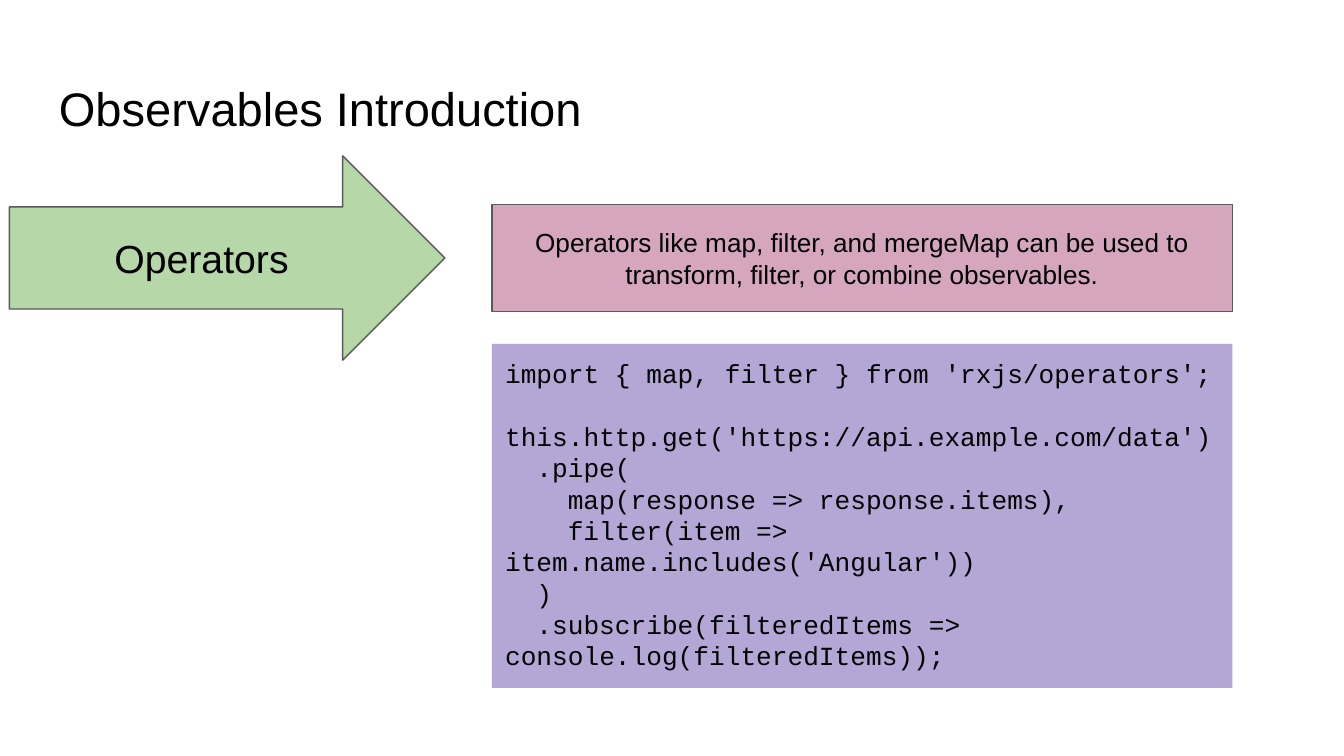
"""Build the slide that introduces operators on observables."""
from dataclasses import dataclass
from typing import Optional

from pptx import Presentation
from pptx.dml.color import RGBColor
from pptx.enum.shapes import MSO_SHAPE as Preset
from pptx.enum.text import MSO_ANCHOR as Anchor, PP_ALIGN as Align
from pptx.slide import Slide
from pptx.text.text import TextFrame
from pptx.util import Inches, Pt

COLORS = {
    "text": "000000",
    "outline": "595959",
    "green": "B6D7A8",
    "pink": "D5A6BD",
    "purple": "B4A7D6",
}
SLIDE_WIDTH = Inches(10)
SLIDE_HEIGHT = SLIDE_WIDTH * 9 // 16
CODE_SIZE = 14
CODE_STEP = 0.6 * CODE_SIZE
LINE_HEIGHT = 1.2 * CODE_SIZE
COLUMN_LEFT, COLUMN_WIDTH = 3.66, 5.51


@dataclass(frozen=True)
class Line:
    text: str
    indent: int = 0
    blank_above: bool = False


@dataclass(frozen=True)
class Block:
    left: float
    top: float
    width: float
    height: float
    lines: tuple[Line, ...]
    size: float
    preset: Preset = Preset.RECTANGLE
    fill: Optional[str] = None
    outline: Optional[str] = None
    font: str = "Arial"
    align: Align = Align.CENTER
    anchor: Anchor = Anchor.MIDDLE
    spacing: Optional[float] = None


BLOCKS = (
    Block(0.34, 0.49, 9.32, 0.63, (Line("Observables Introduction"),), 25.2,
          align=Align.LEFT, anchor=Anchor.TOP),
    Block(0.07, 1.16, 3.24, 1.52, (Line("Operators"),), 21,
          Preset.RIGHT_ARROW, "green", "outline"),
    Block(COLUMN_LEFT, 1.52, COLUMN_WIDTH, 0.8,
          (Line("Operators like map, filter, and mergeMap can be used to "
                "transform, filter, or combine observables."),), CODE_SIZE,
          fill="pink", outline="outline", spacing=LINE_HEIGHT),
    Block(COLUMN_LEFT, 2.56, COLUMN_WIDTH, 2.56, (
        Line("import { map, filter } from 'rxjs/operators';"),
        Line("this.http.get('https://api.example.com/data')", blank_above=True),
        Line(".pipe(", 2),
        Line("map(response => response.items),", 4),
        Line("filter(item => item.name.includes('Angular'))", 4),
        Line(")", 2),
        Line(".subscribe(filteredItems => console.log(filteredItems));", 2),
    ), CODE_SIZE, fill="purple", font="Courier New", align=Align.LEFT,
        anchor=Anchor.TOP, spacing=LINE_HEIGHT),
)


def rgb(name: str) -> RGBColor:
    """Return the named colour."""
    return RGBColor.from_string(COLORS[name])


def write_lines(block: Block, frame: TextFrame) -> None:
    """Fill a text frame with the lines of a block."""
    frame.word_wrap = True
    frame.vertical_anchor = block.anchor
    frame.margin_left = frame.margin_right = Inches(0.1)
    frame.margin_top = frame.margin_bottom = Inches(0.1)
    for index, line in enumerate(block.lines):
        paragraph = frame.add_paragraph() if index else frame.paragraphs[0]
        paragraph.text = line.text
        paragraph.alignment = block.align
        paragraph.font.name = block.font
        paragraph.font.size = Pt(block.size)
        paragraph.font.color.rgb = rgb("text")
        if block.spacing:
            paragraph.line_spacing = Pt(block.spacing)
        if line.blank_above:
            paragraph.space_before = Pt(LINE_HEIGHT)
        if line.indent:
            properties = paragraph._p.get_or_add_pPr()
            properties.set("marL", "0")
            properties.set("indent", str(Pt(line.indent * CODE_STEP)))


def draw_block(slide: Slide, block: Block) -> None:
    """Draw a block as a filled shape, or as a text box if it has no fill."""
    place = [Inches(n) for n in (block.left, block.top, block.width, block.height)]
    if block.fill:
        shape = slide.shapes.add_shape(block.preset, *place)
        shape.shadow.inherit = False
        shape.fill.solid()
        shape.fill.fore_color.rgb = rgb(block.fill)
        if block.outline:
            shape.line.color.rgb = rgb(block.outline)
            shape.line.width = Pt(0.75)
        else:
            shape.line.fill.background()
    else:
        shape = slide.shapes.add_textbox(*place)
    write_lines(block, shape.text_frame)


def main() -> None:
    """Build and save the slide."""
    deck = Presentation()
    deck.slide_width, deck.slide_height = SLIDE_WIDTH, SLIDE_HEIGHT
    slide = deck.slides.add_slide(deck.slide_layouts[6])
    for block in BLOCKS:
        draw_block(slide, block)
    deck.save("out.pptx")


if __name__ == "__main__":
    main()
